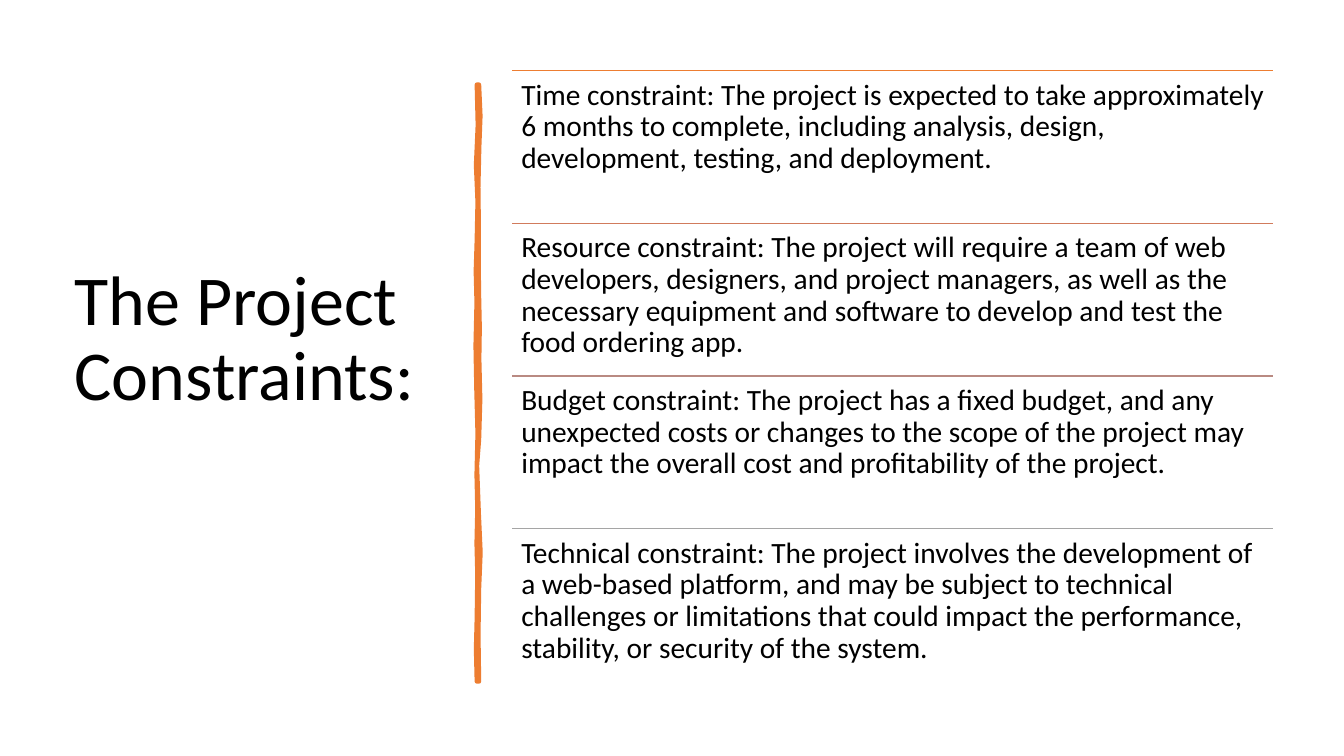
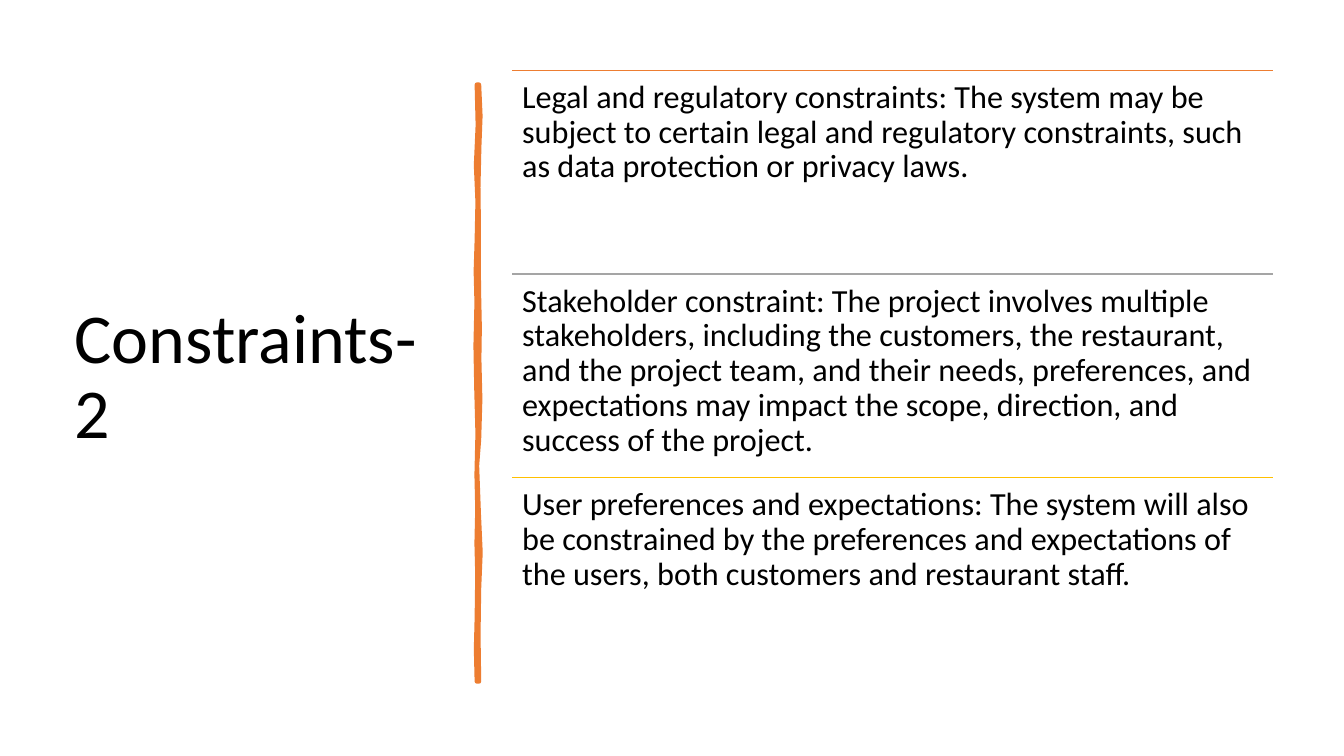
"""Build two slides of project constraints, each with a title, a brushed divider and ruled rows."""
import pptx
import pptx.dml.color
import pptx.enum.text
import pptx.util
from pptx.oxml.xmlchemy import OxmlElement

COLORS = {
    "text": "000000",
    "orange": "ED7D31",
    "clay": "D17B5C",
    "mauve": "B98A82",
    "gray": "A5A5A5",
    "gold": "FFC000",
}
FONT = "Calibri"
SLIDE_SIZE = (13.33, 7.5)
COLUMNS = {"title": (0.69, 3.74), "rows": (5.08, 7.55)}
TOP = 0.7
TITLE_HEIGHT = 6.11
ROWS_HEIGHT = 6.06
TITLE_SIZE = 50
TITLE_INSET = 0.05
TITLE_LIFT = 0.76

DIVIDER_RIGHT = [
    (4750, 840), (4764, 1150), (4752, 1460), (4743, 1860), (4748, 2260),
    (4746, 2600), (4750, 2940), (4757, 3250), (4752, 3560), (4762, 3960),
    (4750, 4360), (4730, 4620), (4748, 5100), (4765, 5480), (4750, 5840),
    (4744, 6300), (4750, 6760),
]
DIVIDER_LEFT = [
    (4730, 6760), (4722, 6440), (4730, 6130), (4736, 5700), (4728, 5390),
    (4736, 5050), (4728, 4710), (4738, 4300), (4726, 3860), (4718, 3430),
    (4728, 3000), (4720, 2690), (4730, 2380), (4738, 2000), (4722, 1640),
    (4740, 1240), (4730, 840),
]

SLIDES = [
    {
        "title": "The Project Constraints:",
        "lift": TITLE_LIFT,
        "size": 21,
        "inset": 0.09,
        "rows": [
            ("orange", "Time constraint: The project is expected to take approximately 6 months to complete, including analysis, design, development, testing, and deployment."),
            ("clay", "Resource constraint: The project will require a team of web developers, designers, and project managers, as well as the necessary equipment and software to develop and test the food ordering app."),
            ("mauve", "Budget constraint: The project has a fixed budget, and any unexpected costs or changes to the scope of the project may impact the overall cost and profitability of the project."),
            ("gray", "Technical constraint: The project involves the development of a web-based platform, and may be subject to technical challenges or limitations that could impact the performance, stability, or security of the system."),
        ],
    },
    {
        "title": "Constraints-2",
        "lift": 0,
        "size": 23,
        "inset": 0.1,
        "rows": [
            ("orange", "Legal and regulatory constraints: The system may be subject to certain legal and regulatory constraints, such as data protection or privacy laws."),
            ("gray", "Stakeholder constraint: The project involves multiple stakeholders, including the customers, the restaurant, and the project team, and their needs, preferences, and expectations may impact the scope, direction, and success of the project."),
            ("gold", "User preferences and expectations: The system will also be constrained by the preferences and expectations of the users, both customers and restaurant staff."),
        ],
    },
]


def inches(*lengths):
    return [pptx.util.Inches(length) for length in lengths]


def color(name):
    return pptx.dml.color.RGBColor.from_string(COLORS[name])


def apply_format(target, values):
    for name, value in values.items():
        setattr(target, name, value)


def write_text(frame, text, size, anchor, inset, lift=0):
    apply_format(frame, {
        "word_wrap": True,
        "auto_size": pptx.enum.text.MSO_AUTO_SIZE.NONE,
        "vertical_anchor": anchor,
        "margin_left": pptx.util.Inches(inset),
        "margin_right": pptx.util.Inches(inset),
        "margin_top": pptx.util.Inches(inset),
        "margin_bottom": pptx.util.Inches(inset + lift),
    })
    para = frame.paragraphs[0]
    apply_format(para, {"alignment": pptx.enum.text.PP_ALIGN.LEFT, "line_spacing": 0.9})
    span = para.add_run()
    span.text = text
    apply_format(span.font, {"name": FONT, "size": pptx.util.Pt(size)})
    span.font.color.rgb = color("text")


def style_line(line, color_name, width):
    line.color.rgb = color(color_name)
    line.width = pptx.util.Pt(width)


def place_title(slide, text, lift):
    title = slide.shapes.title
    left, width = COLUMNS["title"]
    places = inches(left, TOP, width, TITLE_HEIGHT)
    apply_format(title, dict(zip(("left", "top", "width", "height"), places)))
    write_text(title.text_frame, text, TITLE_SIZE, pptx.enum.text.MSO_ANCHOR.MIDDLE,
               TITLE_INSET, lift)


def add_divider(slide):
    start, *points = DIVIDER_RIGHT + DIVIDER_LEFT
    builder = slide.shapes.build_freeform(*start, scale=pptx.util.Inches(1) / 1000)
    builder.add_line_segments(points, close=True)
    divider = builder.convert_to_shape()
    divider.shadow.inherit = False
    divider.fill.solid()
    divider.fill.fore_color.rgb = color("orange")
    style_line(divider.line, "orange", 3.25)
    divider.line._get_or_add_ln().append(OxmlElement("a:round"))


def add_rule(slide, top, color_name):
    left, width = COLUMNS["rows"]
    rule = slide.shapes.add_connector(
        pptx.enum.shapes.MSO_CONNECTOR.STRAIGHT, *inches(left, top, left + width, top))
    style_line(rule.line, color_name, 1)
    rule._element.spPr.append(OxmlElement("a:effectLst"))


def add_rows(slide, rows, size, inset):
    left, width = COLUMNS["rows"]
    height = ROWS_HEIGHT / len(rows)
    for index, (color_name, text) in enumerate(rows):
        top = TOP + index * height
        add_rule(slide, top, color_name)
        box = slide.shapes.add_textbox(*inches(left, top, width, height))
        write_text(box.text_frame, text, size, pptx.enum.text.MSO_ANCHOR.TOP, inset)


def main():
    deck = pptx.Presentation()
    deck.slide_width, deck.slide_height = inches(*SLIDE_SIZE)
    layout = deck.slide_layouts.get_by_name("Title Only")
    for content in SLIDES:
        slide = deck.slides.add_slide(layout)
        place_title(slide, content["title"], content["lift"])
        add_divider(slide)
        add_rows(slide, content["rows"], content["size"], content["inset"])
    deck.save("out.pptx")


if __name__ == "__main__":
    main()
